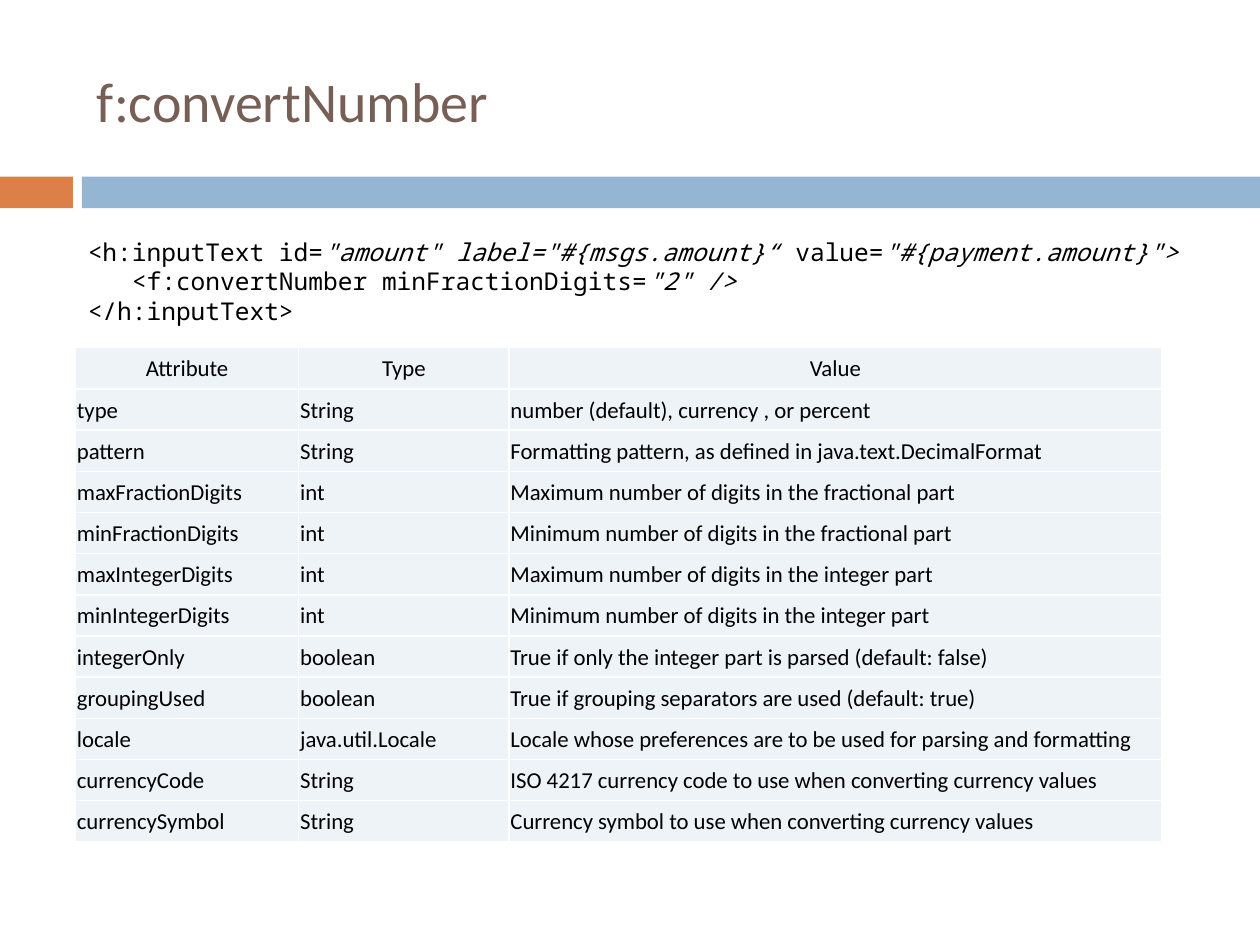
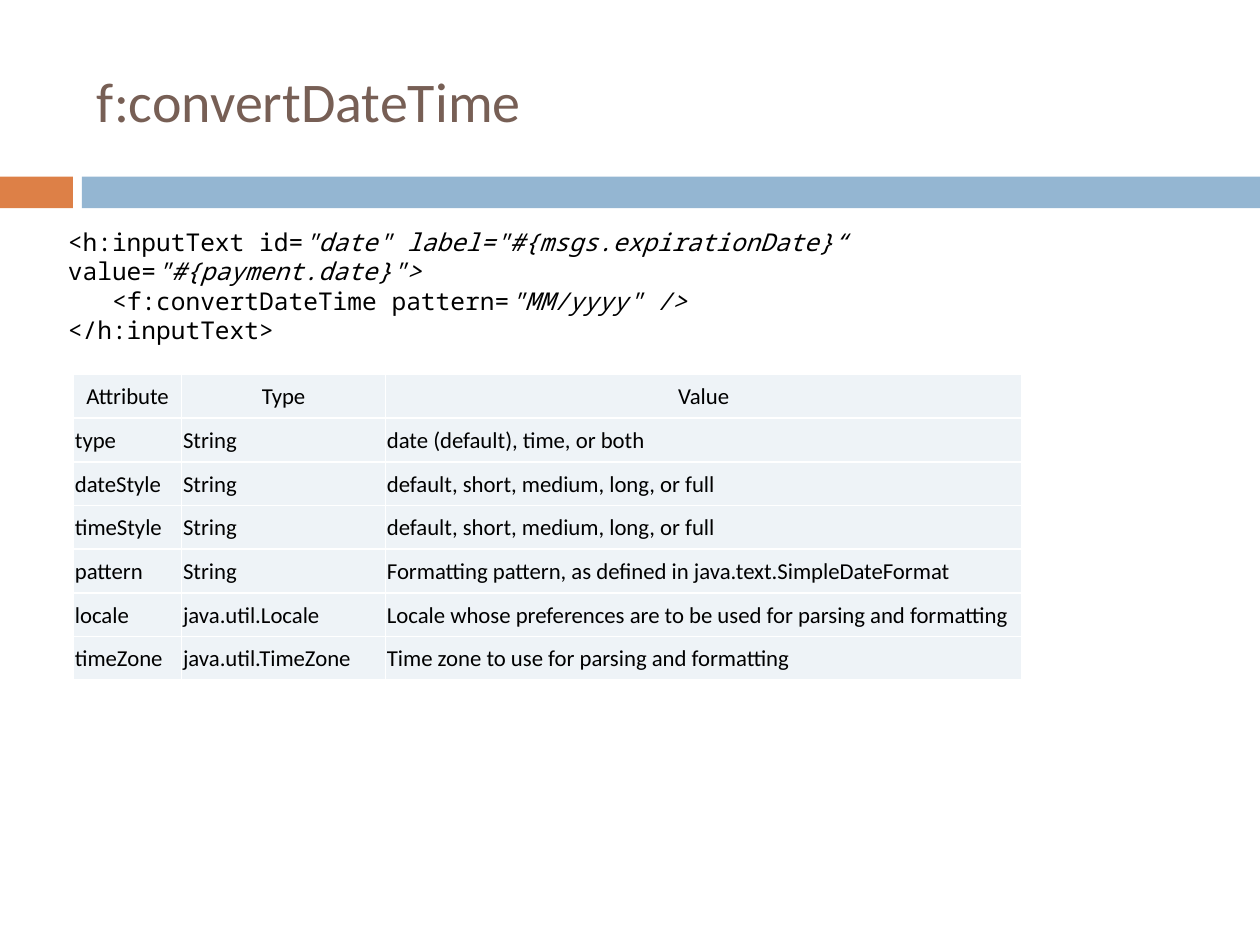
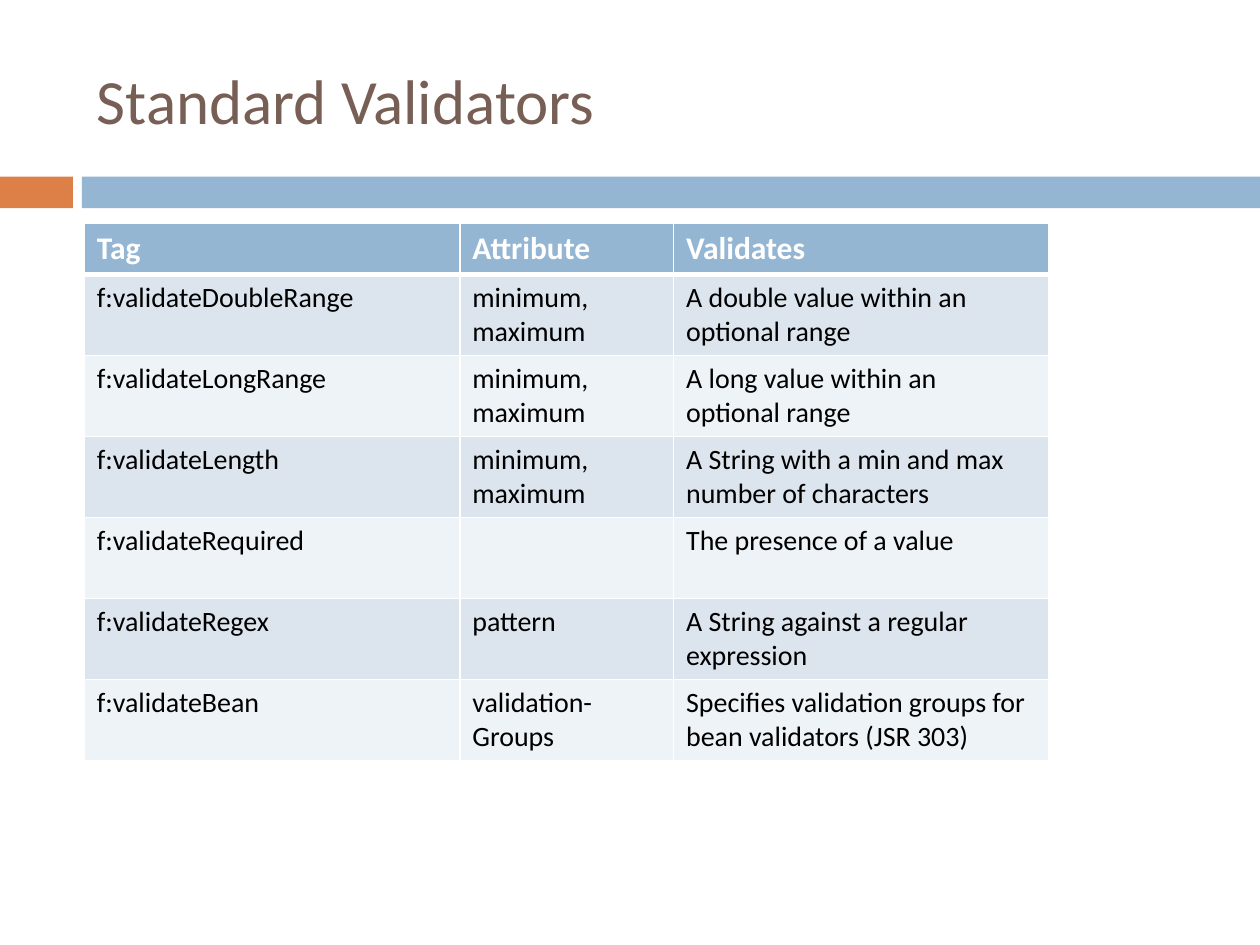
from lxml.etree import SubElement
from pptx import Presentation
from pptx.dml.color import RGBColor
from pptx.enum.shapes import MSO_SHAPE
from pptx.enum.text import MSO_ANCHOR, MSO_AUTO_SIZE, PP_ALIGN
from pptx.oxml.ns import qn
from pptx.util import Cm, Pt

WHITE = RGBColor(0xFF, 0xFF, 0xFF)
BLACK = RGBColor(0x00, 0x00, 0x00)
BROWN = RGBColor(0x77, 0x5F, 0x55)
ORANGE = RGBColor(0xDD, 0x80, 0x47)
BLUE = RGBColor(0x94, 0xB6, 0xD2)
MID = RGBColor(0xDC, 0xE5, 0xEE)
PALE = RGBColor(0xEE, 0xF3, 0xF7)

SANS, MONO = "Calibri", "Noto Sans Mono"
TITLE_BOX = (1.7, 0.64, 22.66, 2.74)
BANDS = [(0, 1.47, ORANGE), (1.65, 23.75, BLUE)]
BAND_TOP, BAND_HIGH = 3.56, 0.64
CODE_STEP = 0.89

HEAD = ["Attribute", "Type", "Value"]
LOCALE = ["locale", "java.util.Locale",
          "Locale whose preferences are to be used for parsing and formatting"]

NUMBER_ROWS = [
    HEAD,
    ["type", "String", "number (default), currency , or percent"],
    ["pattern", "String", "Formatting pattern, as defined in java.text.DecimalFormat"],
    ["maxFractionDigits", "int", "Maximum number of digits in the fractional part"],
    ["minFractionDigits", "int", "Minimum number of digits in the fractional part"],
    ["maxIntegerDigits", "int", "Maximum number of digits in the integer part"],
    ["minIntegerDigits", "int", "Minimum number of digits in the integer part"],
    ["integerOnly", "boolean", "True if only the integer part is parsed (default: false)"],
    ["groupingUsed", "boolean", "True if grouping separators are used (default: true)"],
    LOCALE,
    ["currencyCode", "String",
     "ISO 4217 currency code to use when converting currency values"],
    ["currencySymbol", "String", "Currency symbol to use when converting currency values"],
]

DATE_ROWS = [
    HEAD,
    ["type", "String", "date (default), time, or both"],
    ["dateStyle", "String", "default, short, medium, long, or full"],
    ["timeStyle", "String", "default, short, medium, long, or full"],
    ["pattern", "String", "Formatting pattern, as defined in java.text.SimpleDateFormat"],
    LOCALE,
    ["timeZone", "java.util.TimeZone", "Time zone to use for parsing and formatting"],
]

CHECK_ROWS = [
    ["Tag", "Attribute", "Validates"],
    ["f:validateDoubleRange", "minimum, maximum",
     "A double value within an optional range"],
    ["f:validateLongRange", "minimum, maximum",
     "A long value within an optional range"],
    ["f:validateLength", "minimum, maximum",
     "A String with a min and max number of characters"],
    ["f:validateRequired", "", "The presence of a value"],
    ["f:validateRegex", "pattern", "A String against a regular expression"],
    ["f:validateBean", "validation-Groups",
     "Specifies validation groups for bean validators (JSR 303)"],
]

# Each code line is an indent level and its runs; every second run is italic
NUMBER_CODE = [
    (0, ["<h:inputText id=", '"amount" label="#{msgs.amount}“ ',
         "value=", '"#{payment.amount}">']),
    (1, ["<f:convertNumber minFractionDigits=", '"2" />']),
    (0, ["</h:inputText>"]),
]
DATE_CODE = [
    (0, ["<h:inputText id=", '"date" label="#{msgs.expirationDate}“ ',
         "value=", '"#{payment.date}">']),
    (1, ["<f:convertDateTime pattern=", '"MM/yyyy" />']),
    (0, ["</h:inputText>"]),
]


def add_run(para, text, size, color=BLACK, font=SANS, bold=False, italic=False):
    run = para.add_run()
    run.text = text
    run.font.size = Pt(size)
    run.font.name = font
    run.font.bold = bold
    run.font.italic = italic
    run.font.color.rgb = color


# Shared frame: bands live on the layout, behind everything
def add_bands(slide):
    tree = slide.slide_layout.shapes.element
    for left, width, color in BANDS:
        band = slide.shapes.add_shape(MSO_SHAPE.RECTANGLE, Cm(left), Cm(BAND_TOP),
                                      Cm(width), Cm(BAND_HIGH))
        band.shadow.inherit = False
        band.fill.solid()
        band.fill.fore_color.rgb = color
        band.line.fill.background()
        tree.insert(2, band.element)


def add_slide(deck, text, size):
    slide = deck.slides.add_slide(deck.slide_layouts[5])
    title = slide.shapes.title
    title.left, title.top, title.width, title.height = map(Cm, TITLE_BOX)
    frame = title.text_frame
    frame.auto_size = MSO_AUTO_SIZE.NONE
    frame.vertical_anchor = MSO_ANCHOR.MIDDLE
    para = frame.paragraphs[0]
    para.alignment = PP_ALIGN.LEFT
    add_run(para, text, size, BROWN)
    return slide


# Code sample
def add_code(slide, box, lines):
    frame = slide.shapes.add_textbox(*map(Cm, box)).text_frame
    frame.word_wrap = True
    frame.auto_size = MSO_AUTO_SIZE.SHAPE_TO_FIT_TEXT
    for row, (level, parts) in enumerate(lines):
        para = frame.add_paragraph() if row else frame.paragraphs[0]
        if level:
            para._p.get_or_add_pPr().set("marL", str(Cm(level * CODE_STEP)))
        for spot, text in enumerate(parts):
            add_run(para, text, 14, font=MONO, italic=spot % 2 == 1)


# Tables
def set_edges(cell, top, bottom):
    props = cell._tc.get_or_add_tcPr()
    for tag, width in (("lnL", 1), ("lnR", 1), ("lnT", top), ("lnB", bottom)):
        line = SubElement(props, qn("a:" + tag), w=str(Pt(width)))
        fill = SubElement(line, qn("a:solidFill"))
        SubElement(fill, qn("a:srgbClr"), val=str(WHITE))


def add_grid(slide, left, top, widths, heights, rows):
    shape = slide.shapes.add_table(len(rows), len(widths), Cm(left), Cm(top),
                                   Cm(sum(widths)), Cm(sum(heights)))
    grid = shape.table
    grid.first_row = grid.horz_banding = False
    for col, width in zip(grid.columns, widths):
        col.width = Cm(width)
    for row, height in zip(grid.rows, heights):
        row.height = Cm(height)
    for r, texts in enumerate(rows):
        for c, text in enumerate(texts):
            yield r, grid.cell(r, c), text


def fill_cell(cell, color):
    cell.fill.solid()
    cell.fill.fore_color.rgb = color


def add_plain(slide, left, top, widths, height, rows):
    heights = [height] * len(rows)
    for r, cell, text in add_grid(slide, left, top, widths, heights, rows):
        set_edges(cell, 1, 1)
        fill_cell(cell, PALE)
        cell.margin_left = cell.margin_right = cell.margin_top = Cm(0.03)
        cell.margin_bottom = 0
        cell.vertical_anchor = MSO_ANCHOR.MIDDLE
        para = cell.text_frame.paragraphs[0]
        para.alignment = PP_ALIGN.LEFT if r else PP_ALIGN.CENTER
        add_run(para, text, 13)


def add_striped(slide, left, top, widths, head, height, rows):
    heights = [head] + [height] * (len(rows) - 1)
    for r, cell, text in add_grid(slide, left, top, widths, heights, rows):
        set_edges(cell, 3 if r == 1 else 1, 1 if r else 3)
        fill_cell(cell, (MID if r % 2 else PALE) if r else BLUE)
        if text:
            para = cell.text_frame.paragraphs[0]
            add_run(para, text, 16 if r else 18, BLACK if r else WHITE, bold=not r)


def main():
    deck = Presentation()
    deck.slide_width, deck.slide_height = Cm(25.4), Cm(19.05)

    # Number converter
    slide = add_slide(deck, "f:convertNumber", 32)
    add_bands(slide)
    add_plain(slide, 1.52, 7.01, [4.5, 4.24, 13.16], 0.83, NUMBER_ROWS)
    add_code(slide, (1.52, 4.65, 23.24, 2.06), NUMBER_CODE)

    # Date converter
    slide = add_slide(deck, "f:convertDateTime", 32)
    add_plain(slide, 1.48, 7.55, [2.18, 4.11, 12.83], 0.88, DATE_ROWS)
    add_code(slide, (1.12, 4.45, 23.22, 2.06), DATE_CODE)

    # Validators
    slide = add_slide(deck, "Standard Validators", 36)
    add_striped(slide, 1.7, 4.5, [7.57, 4.31, 7.57], 1.03, 1.63, CHECK_ROWS)

    deck.save("out.pptx")


if __name__ == "__main__":
    main()
